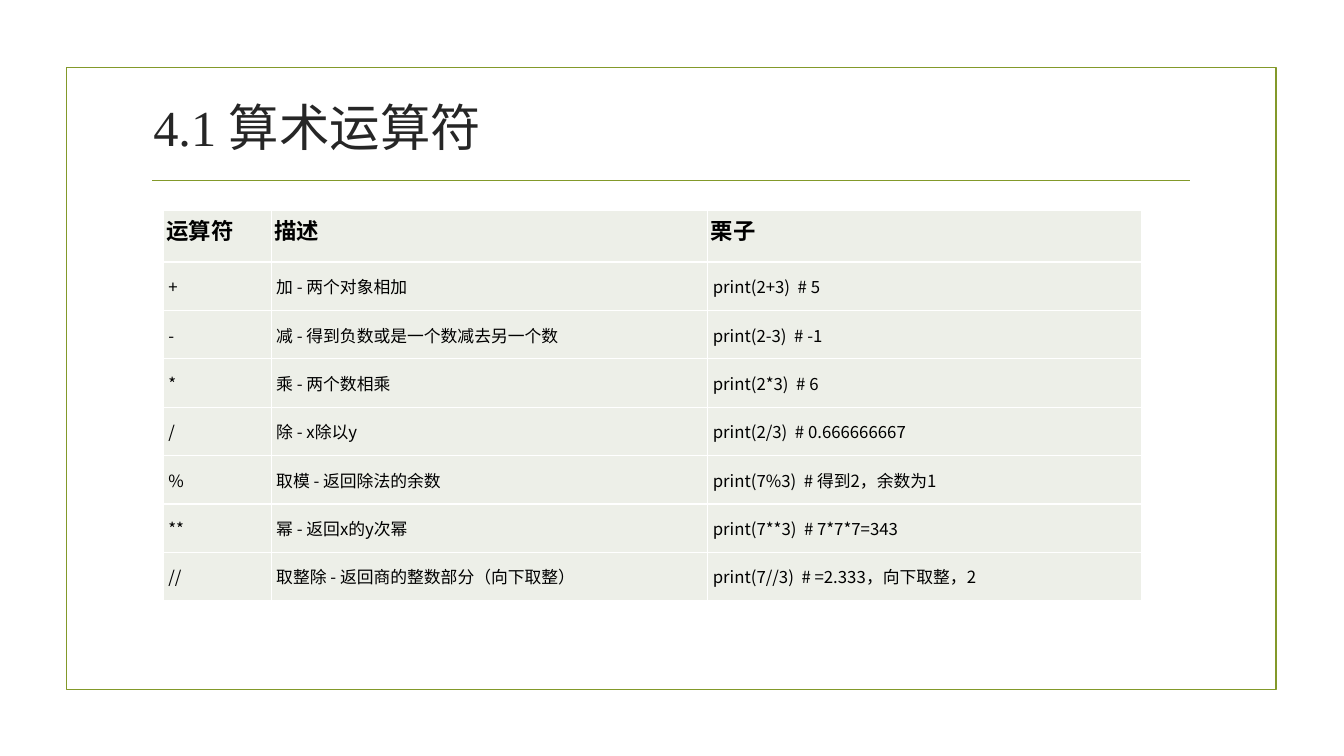
from lxml.etree import SubElement
from pptx import Presentation
from pptx.dml.color import RGBColor
from pptx.enum.shapes import MSO_CONNECTOR, MSO_SHAPE
from pptx.enum.text import MSO_ANCHOR, PP_ALIGN
from pptx.oxml.ns import qn
from pptx.util import Inches, Pt

COLORS = {
    "accent": "83992A",
    "title": "262626",
    "text": "000000",
    "cell": "EDEFE8",
    "border": "FFFFFF",
}
TITLE_FONT = "Times New Roman"
TABLE_FONT = "Noto Sans CJK SC"
TITLE_FORMAT = {"name": TITLE_FONT, "size": Pt(36), "bold": False}
HEADER_FORMAT = {"name": TABLE_FONT, "size": Pt(16), "bold": True}
BODY_FORMAT = {"name": TABLE_FONT, "size": Pt(12), "bold": False}

COLUMN_WIDTHS = [1.07, 4.33, 4.3]
HEADER_HEIGHT, ROW_HEIGHT = 0.51, 0.48
OPERATORS = [
    ("运算符", "描述", "栗子"),
    ("+", "加 - 两个对象相加", "print(2+3)  # 5"),
    ("-", "减 - 得到负数或是一个数减去另一个数", "print(2-3)  # -1"),
    ("*", "乘 - 两个数相乘", "print(2*3)  # 6"),
    ("/", "除 - x除以y", "print(2/3)  # 0.666666667"),
    ("%", "取模 - 返回除法的余数", "print(7%3)  # 得到2，余数为1"),
    ("**", "幂 - 返回x的y次幂", "print(7**3)  # 7*7*7=343"),
    ("//", "取整除 - 返回商的整数部分（向下取整）", "print(7//3)  # =2.333，向下取整，2"),
]


class SlideBuilder:
    """Holds the current slide and the style shared by its elements."""

    def __init__(self, slide, colors):
        self.slide = slide
        self.colors = colors

    def rgb(self, name):
        return RGBColor.from_string(self.colors[name])

    def outline(self, line):
        line.color.rgb = self.rgb("accent")
        line.width = Pt(1.25)

    def add_text(self, p, text, color, values):
        r = p.add_run()
        r.text = text
        for name, value in values.items():
            setattr(r.font, name, value)
        r.font.color.rgb = self.rgb(color)
        SubElement(r.font._element, qn("a:ea"), typeface=TABLE_FONT)

    def title(self, text, *box):
        sp = self.slide.shapes.title
        sp.left, sp.top, sp.width, sp.height = map(Inches, box)
        tf = sp.text_frame
        tf.vertical_anchor = MSO_ANCHOR.MIDDLE
        p = tf.paragraphs[0]
        p.alignment = PP_ALIGN.LEFT
        self.add_text(p, text, "title", TITLE_FORMAT)

    def frame(self, *box):
        sp = self.slide.shapes.add_shape(MSO_SHAPE.RECTANGLE, *map(Inches, box))
        sp.shadow.inherit = False
        sp.fill.background()
        self.outline(sp.line)

    def rule(self, *ends):
        line = self.slide.shapes.add_connector(MSO_CONNECTOR.STRAIGHT, *map(Inches, ends))
        self.outline(line.line)
        SubElement(line._element.spPr, qn("a:effectLst"))

    def borders(self, cell):
        """Draw a thin line on all four sides; call before filling the cell."""
        tc_pr = cell._tc.get_or_add_tcPr()
        for side in ("lnL", "lnR", "lnT", "lnB"):
            ln = SubElement(tc_pr, qn(f"a:{side}"), w=str(Pt(1)))
            fill = SubElement(ln, qn("a:solidFill"))
            SubElement(fill, qn("a:srgbClr"), val=self.colors["border"])

    def cell(self, cell, text, is_header):
        side, edge = (0.03, 0.03) if is_header else (0.05, 0.07)
        cell.margin_left = cell.margin_right = Inches(side)
        cell.margin_top = cell.margin_bottom = Inches(edge)
        cell.vertical_anchor = MSO_ANCHOR.TOP
        self.borders(cell)
        cell.fill.solid()
        cell.fill.fore_color.rgb = self.rgb("cell")
        p = cell.text_frame.paragraphs[0]
        if not is_header:
            p.line_spacing = Pt(21)
        self.add_text(p, text, "text", HEADER_FORMAT if is_header else BODY_FORMAT)

    def table(self, rows, left, top):
        heights = [HEADER_HEIGHT] + [ROW_HEIGHT] * (len(rows) - 1)
        box = (left, top, sum(COLUMN_WIDTHS), sum(heights))
        table = self.slide.shapes.add_table(
            len(rows), len(COLUMN_WIDTHS), *map(Inches, box)).table
        for column, width in zip(table.columns, COLUMN_WIDTHS):
            column.width = Inches(width)
        for i, (row, height) in enumerate(zip(table.rows, heights)):
            row.height = Inches(height)
            for cell, text in zip(row.cells, rows[i]):
                self.cell(cell, text, is_header=i == 0)


def main():
    prs = Presentation()
    prs.slide_width, prs.slide_height = Inches(13.33), Inches(7.5)
    s = SlideBuilder(prs.slides.add_slide(prs.slide_layouts[5]), COLORS)
    s.frame(0.66, 0.67, 12, 6.17)
    s.rule(1.51, 1.79, 11.8, 1.79)
    s.title("4.1 算术运算符", 1.42, 0.88, 10.5, 0.75)
    s.table(OPERATORS, 1.62, 2.09)
    prs.save("out.pptx")


if __name__ == "__main__":
    main()
